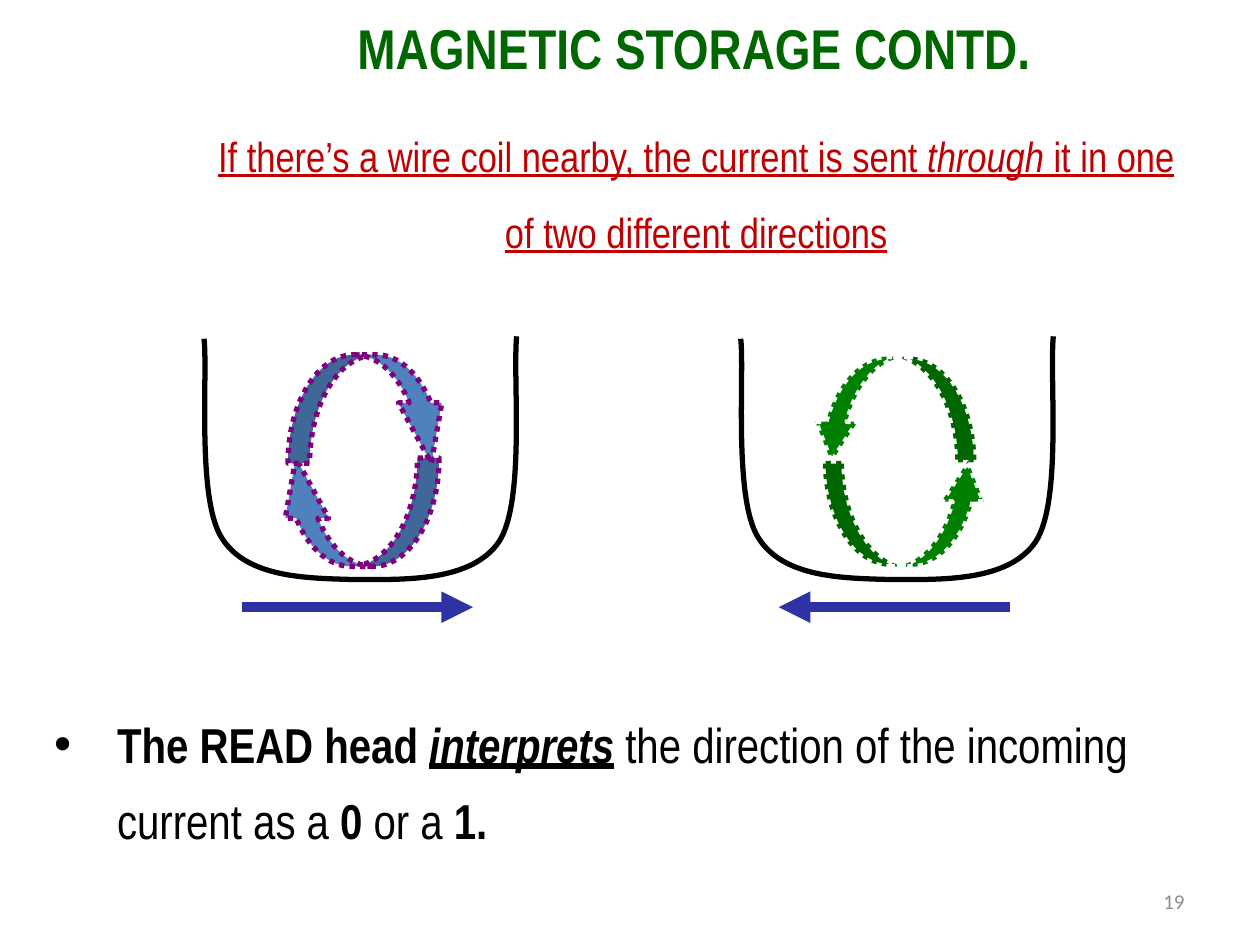
from dataclasses import dataclass

from lxml.etree import SubElement
from pptx import Presentation
from pptx.dml.color import RGBColor
from pptx.enum.dml import MSO_LINE_DASH_STYLE as Dash
from pptx.enum.shapes import MSO_CONNECTOR_TYPE as Connector, MSO_SHAPE as Shape
from pptx.enum.text import MSO_ANCHOR as Anchor, MSO_AUTO_SIZE as AutoSize, PP_ALIGN as Align
from pptx.oxml.ns import qn
from pptx.util import Pt

COLORS = {
    "title": "006600", "lead": "C00000", "body": "000000", "number": "8C8C8C",
    "coil": "000000", "current": "2F32A3", "white": "FFFFFF",
    "green": "008000", "blue": "4F81BD", "purple": "800080",
}

# Start point, then three Bezier points per curve, from the coil's top left
COIL_CURVE = [
    (4.3, 1.4),
    (6.5, 20.9), (0, 92.9), (14.4, 115.2),
    (28.8, 138.2), (63.4, 138.2), (90, 139),
    (118.8, 139), (157, 140.4), (172.8, 117.4),
    (187.9, 94.3), (180.7, 24.5), (182.9, 0),
]
COIL_TOP = 192.2
CURRENT_Y = 347
CURRENT_INSET, CURRENT_LENGTH = 26, 132


@dataclass
class Words:
    text: str
    bold: bool = False
    italic: bool = False
    underline: bool = False


@dataclass
class FieldArrow:
    left: float
    top: float
    flip: str = ""


@dataclass
class Magnet:
    coil_left: float
    arrow_size: tuple[float, float]
    head_ratio: float
    fill: str
    outline: str
    current_end: str
    arrows: list[FieldArrow]


MAGNETS = [
    Magnet(419, (60.5, 95), 0.385, "green", "white", "headEnd",
           [FieldArrow(480.2, 186.5), FieldArrow(487.4, 246.2, "HV")]),
    Magnet(112.3, (62, 94.3), 0.556, "blue", "purple", "tailEnd",
           [FieldArrow(172.8, 245.5, "H"), FieldArrow(180.7, 186.5, "V")]),
]


def rgb(name: str) -> RGBColor:
    return RGBColor.from_string(COLORS[name])


def style_line(line, color: str, width: float) -> None:
    line.color.rgb = rgb(color)
    line.width = Pt(width)


def write(frame, words: list[Words], color: str, size: float, align=Align.LEFT,
          spacing: float = 1.0, font_name: str = "Arial Narrow"):
    frame.word_wrap = True
    frame.auto_size = AutoSize.NONE
    paragraph = frame.paragraphs[0]
    paragraph.alignment = align
    paragraph.line_spacing = spacing
    for part in words:
        run = paragraph.add_run()
        run.text = part.text
        font = run.font
        font.name, font.size, font.color.rgb = font_name, Pt(size), rgb(color)
        font.bold, font.italic, font.underline = part.bold, part.italic, part.underline
    return paragraph


def add_box(shapes, left: float, top: float, width: float, height: float):
    return shapes.add_textbox(Pt(left), Pt(top), Pt(width), Pt(height)).text_frame


def add_bullet(paragraph, indent: float) -> None:
    props = paragraph._p.get_or_add_pPr()
    props.set("marL", str(Pt(indent)))
    props.set("indent", str(Pt(-indent)))
    SubElement(props, qn("a:buFont"), typeface="Arial")
    SubElement(props, qn("a:buChar"), char="•")


def add_coil(shapes, left: float) -> None:
    """Draw the coil, turning each three straight segments into one Bezier curve."""
    start, *rest = [(Pt(left + x), Pt(COIL_TOP + y)) for x, y in COIL_CURVE]
    builder = shapes.build_freeform(*start)
    builder.add_line_segments(rest, close=False)
    coil = builder.convert_to_shape()
    coil.shadow.inherit = False
    coil.fill.background()
    style_line(coil.line, "coil", 3)
    outline = coil._element.find(".//" + qn("a:path"))
    segments = outline.findall(qn("a:lnTo"))
    for first in range(0, len(segments), 3):
        curve = SubElement(outline, qn("a:cubicBezTo"))
        for segment in segments[first:first + 3]:
            curve.append(segment[0])
            outline.remove(segment)


def add_current(shapes, left: float, arrow_end: str) -> None:
    current = shapes.add_connector(Connector.STRAIGHT, Pt(left), Pt(CURRENT_Y),
                                   Pt(left + CURRENT_LENGTH), Pt(CURRENT_Y))
    style_line(current.line, "current", 6)
    SubElement(current.line._get_or_add_ln(), qn(f"a:{arrow_end}"), type="triangle")
    SubElement(current._element.spPr, qn("a:effectLst"))


def add_field(shapes, magnet: Magnet) -> None:
    """Group the two curved arrows that circle inside one coil."""
    field = shapes.add_group_shape()
    width, height = magnet.arrow_size
    for place in magnet.arrows:
        arrow = field.shapes.add_shape(Shape.CURVED_RIGHT_ARROW, Pt(place.left),
                                       Pt(place.top), Pt(width), Pt(height))
        arrow.shadow.inherit = False
        arrow.rotation = 90
        for index, ratio in enumerate((0.2, 0.4, magnet.head_ratio)):
            arrow.adjustments[index] = ratio
        for axis in place.flip:
            arrow._element.spPr.xfrm.set(f"flip{axis}", "1")
        arrow.fill.solid()
        arrow.fill.fore_color.rgb = rgb(magnet.fill)
        style_line(arrow.line, magnet.outline, 3)
        arrow.line.dash_style = Dash.ROUND_DOT


def main() -> None:
    deck = Presentation()
    deck.slide_width, deck.slide_height = Pt(720), Pt(540)
    slide = deck.slides.add_slide(deck.slide_layouts[5])
    shapes = slide.shapes

    title = shapes.title
    title.left, title.top, title.width, title.height = Pt(93.6), Pt(0), Pt(606.2), Pt(54.7)
    title.text_frame.vertical_anchor = Anchor.TOP
    write(title.text_frame, [Words("MAGNETIC STORAGE CONTD.", bold=True)],
          "title", 32, Align.CENTER, 1.11)

    lead = [
        Words("If there’s a wire coil nearby, the current is sent ", underline=True),
        Words("through", italic=True, underline=True),
        Words(" it in one of two different directions", underline=True),
    ]
    write(add_box(shapes, 112.3, 56.9, 571, 89.3), lead, "lead", 24, Align.CENTER, 1.5)

    conclusion = [
        Words("The READ head ", bold=True),
        Words("interprets", bold=True, italic=True, underline=True),
        Words(" the direction of the incoming current as a "),
        Words("0", bold=True),
        Words(" or a "),
        Words("1.", bold=True),
    ]
    body = write(add_box(shapes, 23.8, 394.6, 675.4, 90.7), conclusion, "body", 28, spacing=1.3)
    add_bullet(body, 36)

    for magnet in MAGNETS:
        add_field(shapes, magnet)
        add_coil(shapes, magnet.coil_left)
        add_current(shapes, magnet.coil_left + CURRENT_INSET, magnet.current_end)

    page_number = add_box(shapes, 516.2, 500.4, 167.8, 28.8)
    page_number.vertical_anchor = Anchor.MIDDLE
    write(page_number, [Words("19")], "number", 12, Align.RIGHT, font_name="Calibri")

    deck.save("out.pptx")


if __name__ == "__main__":
    main()
